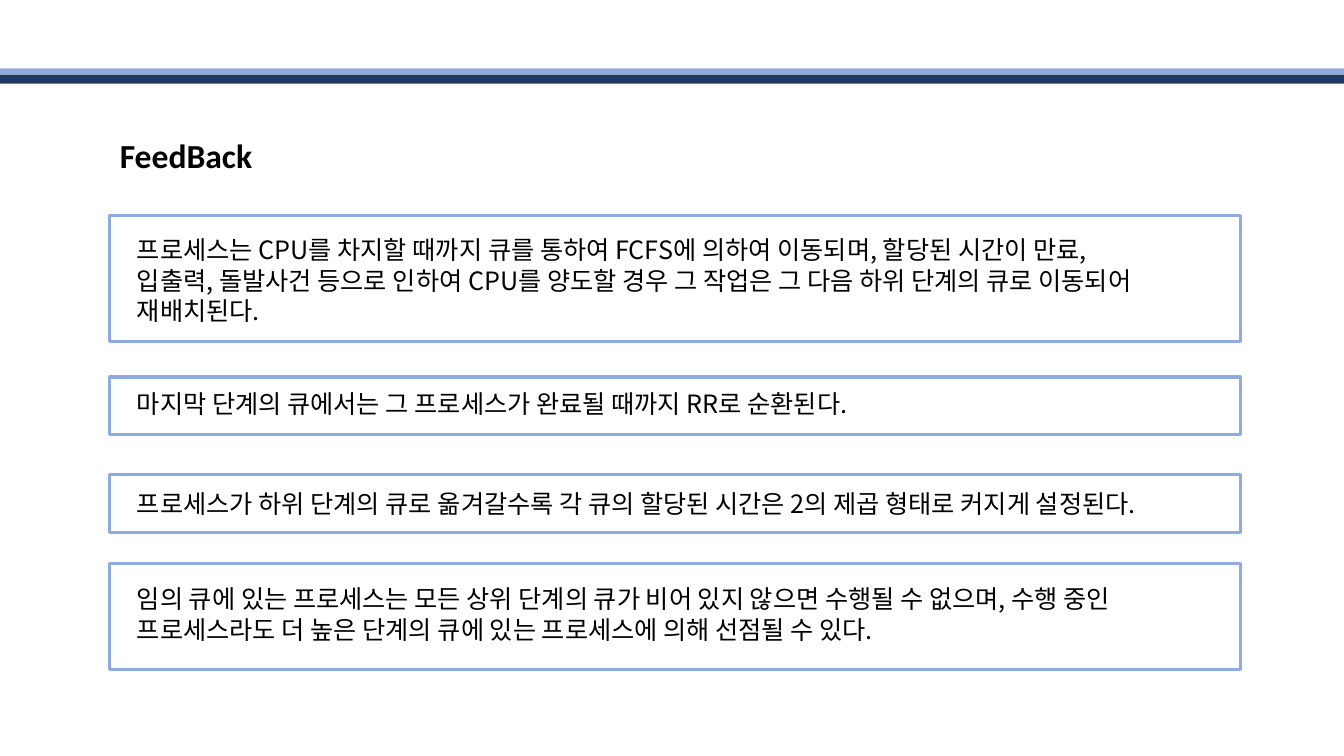
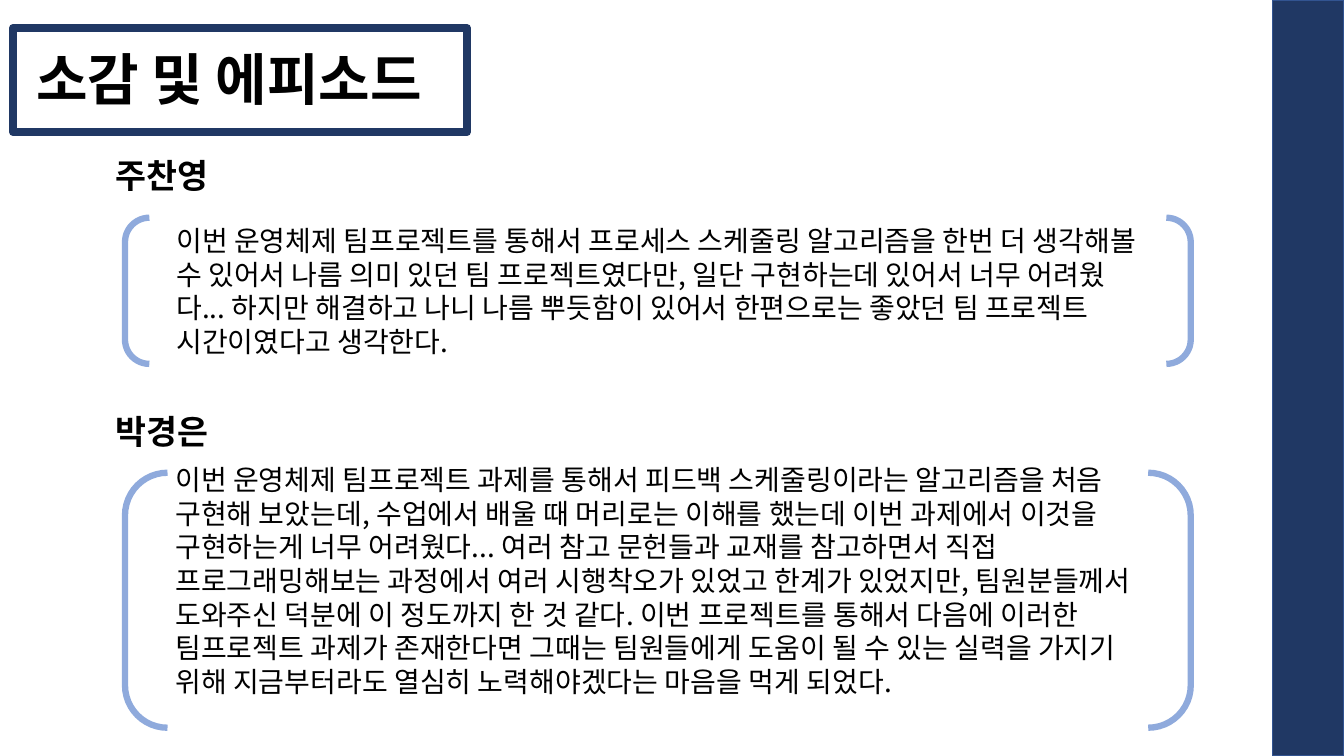
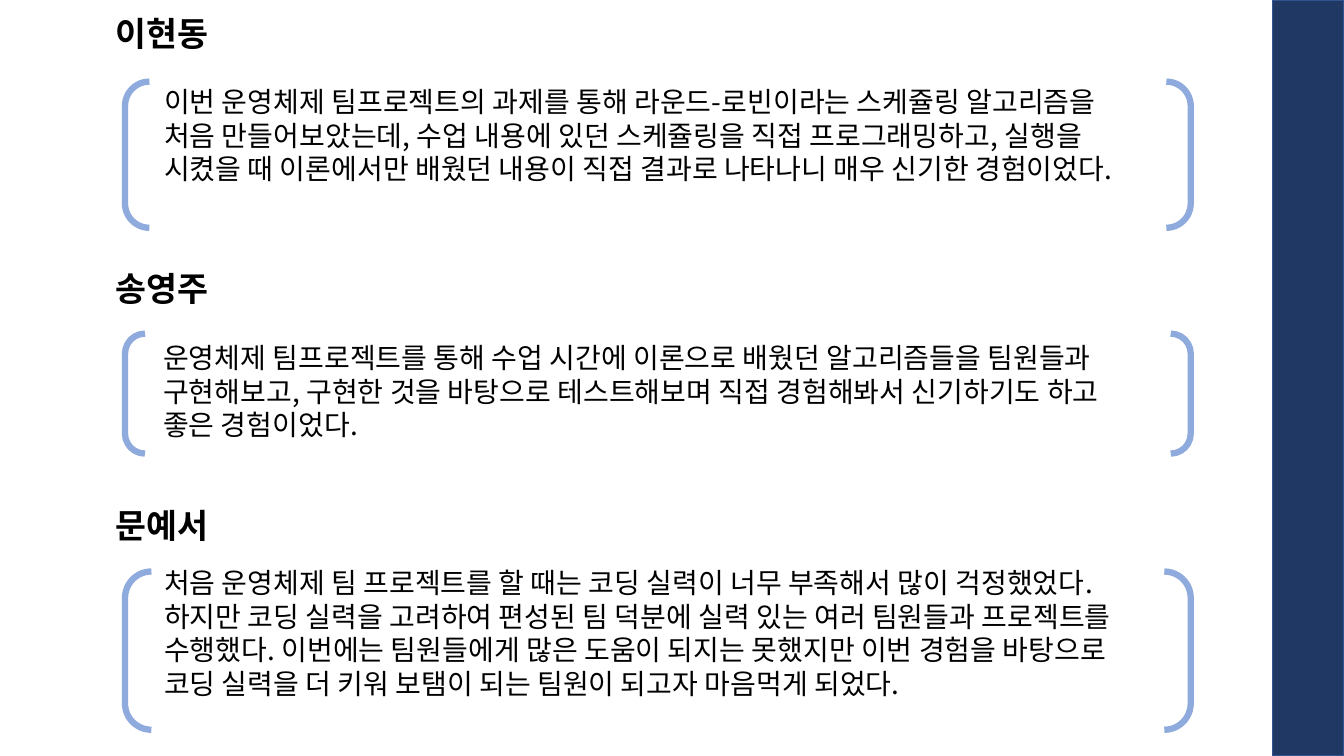
import pptx
import pptx.dml.color
import pptx.enum.shapes
import pptx.enum.text
import pptx.oxml.ns
import pptx.util
from lxml import etree

Inches = pptx.util.Inches
SHAPE = pptx.enum.shapes.MSO_SHAPE
ALIGN = pptx.enum.text.PP_ALIGN
KOREAN, LATIN = "Noto Sans CJK KR", "Calibri"
NAVY, LIGHT, EDGE, BLACK = "203864", "8FAADC", "325491", "000000"
WIDTH, HEIGHT = 13.33, 7.5

# Content: text, text top, text height, frame top, frame height
FEEDBACK = [
    ("프로세스는 CPU를 차지할 때까지 큐를 통하여 FCFS에 의하여 이동되며, 할당된 시간이 만료,\v"
     "입출력, 돌발사건 등으로 인하여 CPU를 양도할 경우 그 작업은 그 다음 하위 단계의 큐로 이동되어 재배치된다.",
     2.28, 1.01, 2.14, 1.25),
    ("마지막 단계의 큐에서는 그 프로세스가 완료될 때까지 RR로 순환된다.", 3.8, 0.4, 3.74, 0.57),
    ("프로세스가 하위 단계의 큐로 옮겨갈수록 각 큐의 할당된 시간은 2의 제곱 형태로 커지게 설정된다.",
     4.8, 0.4, 4.71, 0.57),
    ("임의 큐에 있는 프로세스는 모든 상위 단계의 큐가 비어 있지 않으면 수행될 수 없으며, "
     "수행 중인 프로세스라도 더 높은 단계의 큐에 있는 프로세스에 의해 선점될 수 있다.",
     5.74, 0.71, 5.59, 1.05),
]

# Content: name, name top, comment, comment left, top, height, bracket top, height
FIRST_COMMENTS = [
    ("주찬영", 1.49,
     "이번 운영체제 팀프로젝트를 통해서 프로세스 스케줄링 알고리즘을 한번 더 생각해볼 수 있어서 "
     "나름 의미 있던 팀 프로젝트였다만, 일단 구현하는데 있어서 너무 어려웠다... 하지만 해결하고 나니 "
     "나름 뿌듯함이 있어서 한편으로는 좋았던 팀 프로젝트 시간이였다고 생각한다.",
     1.65, 2.17, 1.45, 2.16, 1.45),
    ("박경은", 4.03,
     "이번 운영체제 팀프로젝트 과제를 통해서 피드백 스케줄링이라는 알고리즘을 처음 구현해 보았는데, "
     "수업에서 배울 때 머리로는 이해를 했는데 이번 과제에서 이것을 구현하는게 너무 어려웠다... "
     "여러 참고 문헌들과 교재를 참고하면서 직접 프로그래밍해보는 과정에서 여러 시행착오가 있었고 "
     "한계가 있었지만, 팀원분들께서 도와주신 덕분에 이 정도까지 한 것 같다. 이번 프로젝트를 통해서 "
     "다음에 이러한 팀프로젝트 과제가 존재한다면 그때는 팀원들에게 도움이 될 수 있는 실력을 가지기 위해 "
     "지금부터라도 열심히 노력해야겠다는 마음을 먹게 되었다.",
     1.64, 4.54, 2.79, 4.69, 2.53),
]
MORE_COMMENTS = [
    ("이현동", 0.08,
     "이번 운영체제 팀프로젝트의 과제를 통해 라운드-로빈이라는 스케쥴링 알고리즘을 처음 만들어보았는데, "
     "수업 내용에 있던 스케쥴링을 직접 프로그래밍하고, 실행을 시켰을 때 이론에서만 배웠던 내용이 "
     "직접 결과로 나타나니 매우 신기한 경험이었다.",
     1.53, 0.79, 1.45, 0.81, 1.45),
    ("송영주", 2.61,
     "운영체제 팀프로젝트를 통해 수업 시간에 이론으로 배웠던 알고리즘들을 팀원들과 구현해보고, "
     "구현한 것을 바탕으로 테스트해보며 직접 경험해봐서 신기하기도 하고 좋은 경험이었다.",
     1.52, 3.33, 1.11, 3.31, 1.19),
    ("문예서", 4.96,
     "처음 운영체제 팀 프로젝트를 할 때는 코딩 실력이 너무 부족해서 많이 걱정했었다. "
     "하지만 코딩 실력을 고려하여 편성된 팀 덕분에 실력 있는 여러 팀원들과 프로젝트를 수행했다. "
     "이번에는 팀원들에게 많은 도움이 되지는 못했지만 이번 경험을 바탕으로 코딩 실력을 더 키워 "
     "보탬이 되는 팀원이 되고자 마음먹게 되었다.",
     1.53, 5.56, 1.45, 5.67, 1.57),
]


def color(target, value):
    target.rgb = pptx.dml.color.RGBColor.from_string(value)


def add_box(s, kind, at, fill=None, line=None, weight=1):
    sp = s.shapes.add_shape(kind, *map(Inches, at))
    sp.shadow.inherit = False
    if fill:
        sp.fill.solid()
        color(sp.fill.fore_color, fill)
    else:
        sp.fill.background()
    if line:
        color(sp.line.color, line)
        sp.line.width = pptx.util.Pt(weight)
    else:
        sp.line.fill.background()


def add_text(s, text, at, size, bold=False, align=ALIGN.LEFT, font=KOREAN):
    tf = s.shapes.add_textbox(*map(Inches, at)).text_frame
    tf.word_wrap = True
    p = tf.paragraphs[0]
    p.text = text
    p.alignment = align
    p.font.size = pptx.util.Pt(size)
    p.font.bold = bold
    color(p.font.color, BLACK)
    p.font.name = font
    # Korean letters take the East Asian typeface
    latin = p._p.pPr.find(".//" + pptx.oxml.ns.qn("a:latin"))
    ea = etree.Element(pptx.oxml.ns.qn("a:ea"), typeface=KOREAN)
    latin.addnext(ea)


def add_comments(s, comments):
    for name, name_top, text, left, top, height, pair_top, pair_height in comments:
        add_text(s, name, (0.71, name_top, 1.8, 0.5), 24, True, ALIGN.CENTER)
        add_text(s, text, (left, top, 9.76, height), 20)
        add_box(s, SHAPE.DOUBLE_BRACKET, (1.24, pair_top, 10.57, pair_height), line=LIGHT, weight=4.5)
    # Side band
    add_box(s, SHAPE.RECTANGLE, (12.62, 0, 0.71, HEIGHT), NAVY, EDGE)


def main():
    prs = pptx.Presentation()
    prs.slide_width, prs.slide_height = Inches(WIDTH), Inches(HEIGHT)
    feedback, first, more = (prs.slides.add_slide(prs.slide_layouts[6]) for _ in range(3))

    # Feedback scheduling
    add_box(feedback, SHAPE.RECTANGLE, (0, 0.68, WIDTH, 0.06), LIGHT)
    add_box(feedback, SHAPE.RECTANGLE, (0, 0.74, WIDTH, 0.09), NAVY)
    add_text(feedback, "FeedBack", (1.09, 1.29, 2.3, 0.5), 24, True, font=LATIN)
    for text, top, height, frame_top, frame_height in FEEDBACK:
        add_text(feedback, text, (1.26, top, 11.21, height), 18)
        add_box(feedback, SHAPE.RECTANGLE, (1.09, frame_top, 11.21, frame_height), line=LIGHT, weight=2.25)

    # Team comments
    add_text(first, "소감 및 에피소드", (0.26, 0.39, 4.5, 0.77), 40, True)
    add_box(first, SHAPE.RECTANGLE, (0.13, 0.28, 4.5, 1.03), line=NAVY, weight=6)
    add_comments(first, FIRST_COMMENTS)
    add_comments(more, MORE_COMMENTS)
    prs.save("out.pptx")


if __name__ == "__main__":
    main()
